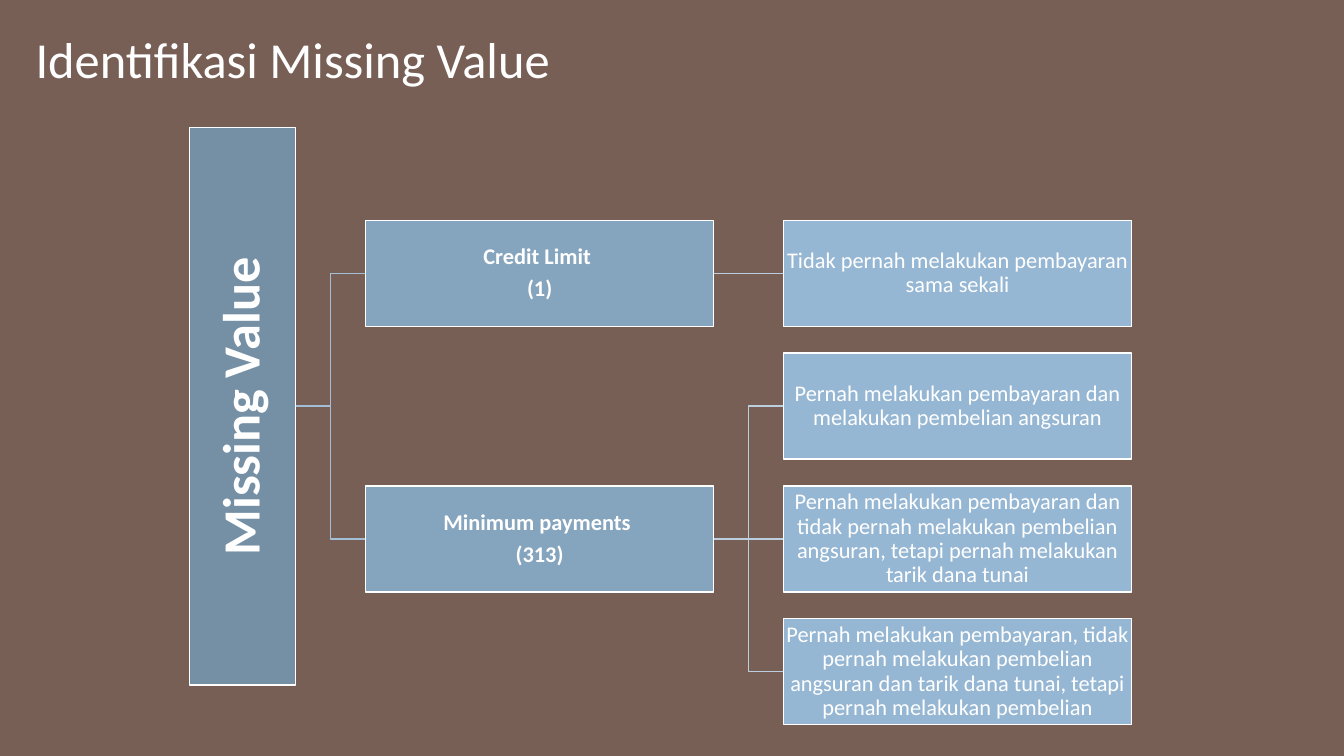
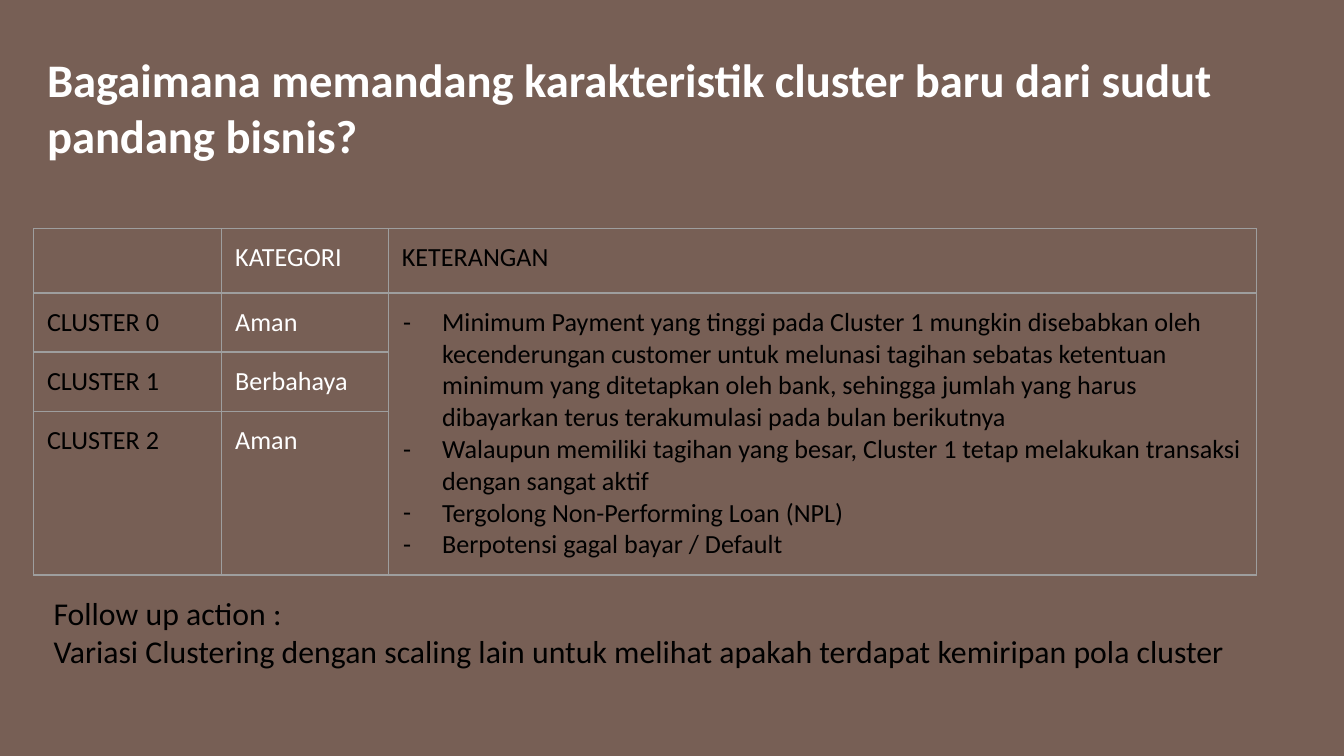
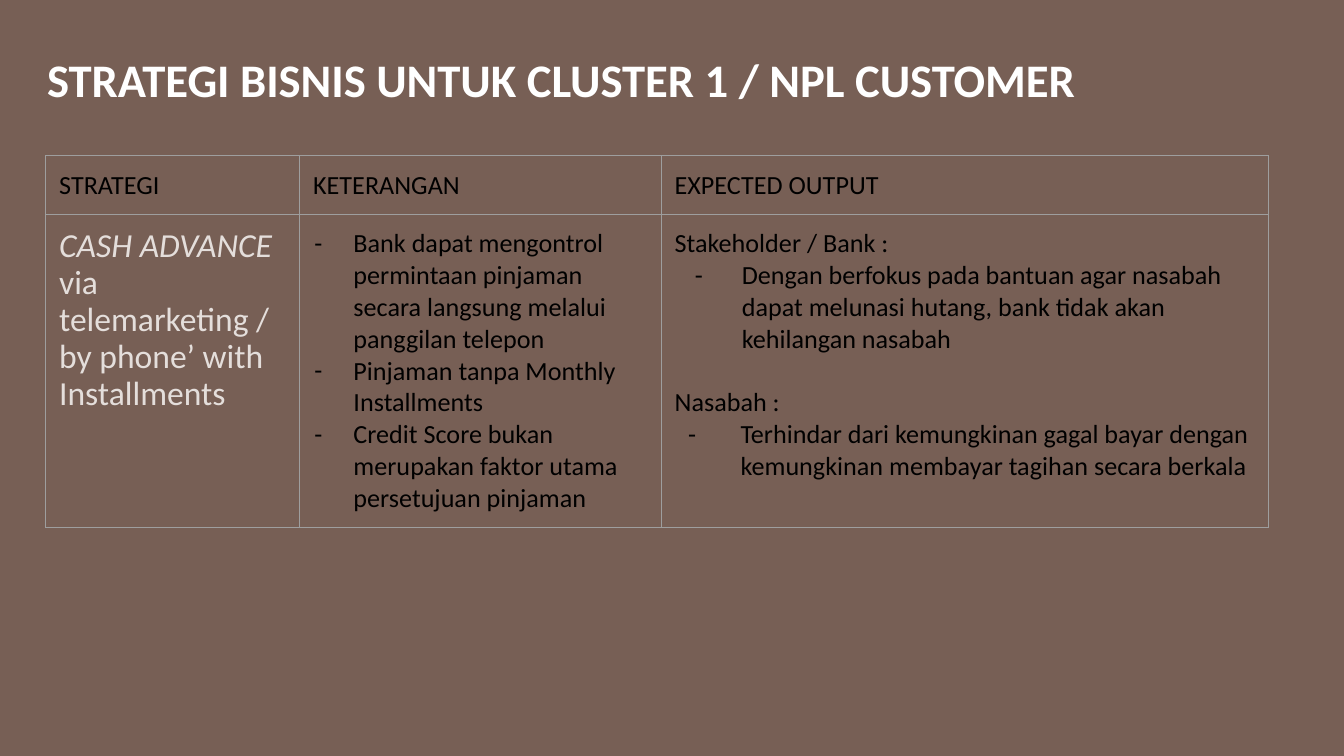
from dataclasses import dataclass, field

from lxml import etree
from pptx import Presentation
from pptx.dml.color import RGBColor
from pptx.enum.shapes import MSO_CONNECTOR, MSO_SHAPE
from pptx.enum.text import MSO_ANCHOR, MSO_AUTO_SIZE, PP_ALIGN
from pptx.oxml.ns import qn
from pptx.util import Inches, Pt

TOP, MID = MSO_ANCHOR.TOP, MSO_ANCHOR.MIDDLE
LEFT, CENTER = PP_ALIGN.LEFT, PP_ALIGN.CENTER
RECT = MSO_SHAPE.RECTANGLE
ELBOW, STRAIGHT = MSO_CONNECTOR.ELBOW, MSO_CONNECTOR.STRAIGHT

FONT = "Calibri"
COLORS = {
    "back": "775F55", "white": "FFFFFF", "black": "000000", "pale": "E4DEDB",
    "grid": "9E9E9E", "root": "7590A5", "group": "85A4BD", "leaf": "96B7D3",
    "trunk": "A3BFD7", "twig": "BCCFE1",
}
WIDE = Inches(10)
HIGH = WIDE * 9 // 16
PAD = 0.1
DASH = (0.3, -0.29)


@dataclass
class Run:
    text: str
    size: float = 14
    color: str = "black"
    look: dict = field(default_factory=dict)


@dataclass
class Line:
    runs: list[Run]
    form: dict = field(default_factory=dict)
    dash: tuple[float, float] | None = None


@dataclass
class Box:
    text: list[Line]
    row: float
    col: int


def rgb(name: str) -> RGBColor:
    return RGBColor.from_string(COLORS[name])


def put(item, values: dict) -> None:
    """Set each named attribute of item."""
    for name, value in values.items():
        setattr(item, name, value)


def plain(text: str, color: str = "black") -> list[Line]:
    return [Line([Run(text, color=color)])]


def dashed(*texts: str, dash: tuple[float, float] = DASH) -> list[Line]:
    return [Line([Run(text)], dash=dash) for text in texts]


def add_dash(para, left: float, hang: float) -> None:
    props = para._p.get_or_add_pPr()
    props.set("marL", str(Inches(left)))
    props.set("indent", str(Inches(hang)))
    tint = etree.SubElement(props, qn("a:buClr"))
    etree.SubElement(tint, qn("a:srgbClr"), val=COLORS["black"])
    etree.SubElement(props, qn("a:buFont"), typeface=FONT)
    etree.SubElement(props, qn("a:buChar"), char="-")


def write(frame, lines: list[Line], align=LEFT) -> None:
    for i, line in enumerate(lines):
        para = frame.paragraphs[0] if i == 0 else frame.add_paragraph()
        put(para, {"alignment": align, **line.form})
        if line.dash:
            add_dash(para, *line.dash)
        for part in line.runs:
            run = para.add_run()
            run.text = part.text
            put(run.font, {"name": FONT, "size": Pt(part.size), **part.look})
            run.font.color.rgb = rgb(part.color)


def set_frame(frame, anchor=TOP, pad: float = PAD) -> None:
    put(frame, {"word_wrap": True, "auto_size": MSO_AUTO_SIZE.NONE,
                "vertical_anchor": anchor})
    set_pad(frame, pad)


def set_pad(item, pad: float = PAD) -> None:
    put(item, {f"margin_{side}": Inches(pad)
               for side in ("left", "right", "top", "bottom")})


def place(shape, left: float, top: float, width: float, height: float) -> None:
    put(shape, {"left": Inches(left), "top": Inches(top),
                "width": Inches(width), "height": Inches(height)})


def add_slide(deck, title: str, area: tuple, size: float = 25,
              bold: bool = True, space: float = 1.0):
    slide = deck.slides.add_slide(deck.slide_layouts.get_by_name("Title Only"))
    head = slide.shapes.title
    place(head, *area)
    set_frame(head.text_frame)
    run = Run(title, size, "white", {"bold": bold})
    write(head.text_frame, [Line([run], {"line_spacing": space})])
    return slide


def add_table(slide, left: float, top: float, cols: list, rows: list,
              cells: dict, spans: tuple = ()) -> None:
    frame = slide.shapes.add_table(
        len(rows), len(cols), Inches(left), Inches(top),
        Inches(sum(cols)), Inches(sum(rows)))
    table = frame.table
    put(table, {"first_row": False, "horz_banding": False})
    for col, width in zip(table.columns, cols):
        col.width = Inches(width)
    for row, height in zip(table.rows, rows):
        row.height = Inches(height)
    for cell in table.iter_cells():
        set_pad(cell)
        add_edges(cell)
        cell.fill.background()
    for first, last in spans:
        table.cell(*first).merge(table.cell(*last))
    for spot, lines in cells.items():
        write(table.cell(*spot).text_frame, lines)
    for cell in table.iter_cells():
        if not cell.text:
            para = cell.text_frame.paragraphs[0]._p
            etree.SubElement(para, qn("a:endParaRPr"), sz="1400")


def add_edges(cell) -> None:
    props = cell._tc.get_or_add_tcPr()
    for side in ("lnL", "lnR", "lnT", "lnB"):
        edge = etree.SubElement(props, qn(f"a:{side}"), w=str(Pt(0.75)))
        fill = etree.SubElement(edge, qn("a:solidFill"))
        etree.SubElement(fill, qn("a:srgbClr"), val=COLORS["grid"])


# Tree of missing values
BOX_H = 0.79
STEP = BOX_H * 1.25
TREE_TOP = 1.64
BOX_W = 2.59
GAP = 0.52
ROOT_H = 4.15
ROOT_X = 1.41
COL_X = [ROOT_X + BOX_H + GAP + i * (BOX_W + GAP) for i in range(2)]
KINDS = ("group", "leaf")


def mid(row: float) -> float:
    return TREE_TOP + row * STEP + BOX_H / 2


def group(name: str, count: str, row: float) -> Box:
    bold = {"bold": True}
    return Box([Line([Run(name, 12, "white", bold)], {"line_spacing": 0.9}),
                Line([Run(count, 12, "white", bold)],
                     {"line_spacing": 0.9, "space_before": Pt(4.2)})], row, 0)


def leaf(text: str, row: float) -> Box:
    return Box([Line([Run(text, 12, "white")], {"line_spacing": 0.9})], row, 1)


def add_block(slide, area: tuple, fill: str, lines: list[Line], pad: float):
    block = slide.shapes.add_shape(RECT, *map(Inches, area))
    block.shadow.inherit = False
    block.fill.solid()
    block.fill.fore_color.rgb = rgb(fill)
    block.line.color.rgb = rgb("white")
    block.line.width = Pt(0.85)
    set_frame(block.text_frame, MID, pad)
    write(block.text_frame, lines, CENTER)
    return block


def add_link(slide, end: float, start_row: float, end_row: float,
             color: str) -> None:
    kind = STRAIGHT if start_row == end_row else ELBOW
    link = slide.shapes.add_connector(
        kind, Inches(end - GAP), Inches(mid(start_row)),
        Inches(end), Inches(mid(end_row)))
    link.line.color.rgb = rgb(color)
    link.line.width = Pt(0.85)
    etree.SubElement(link._element.spPr, qn("a:effectLst"))


def missing(deck) -> None:
    slide = add_slide(deck, " Identifikasi Missing Value",
                      (0.08, 0.16, 9.32, 0.7), 27, False, 0.9)
    boxes = [
        group("Credit Limit ", "(1)", 0),
        leaf("Tidak pernah melakukan pembayaran sama sekali", 0),
        group("Minimum payments ", "(313)", 2),
        leaf("Pernah melakukan pembayaran dan melakukan pembelian angsuran", 1),
        leaf("Pernah melakukan pembayaran dan tidak pernah melakukan pembelian "
             "angsuran, tetapi pernah melakukan tarik dana tunai", 2),
        leaf("Pernah melakukan pembayaran, tidak pernah melakukan pembelian "
             "angsuran dan tarik dana tunai, tetapi pernah melakukan "
             "pembelian", 3),
    ]
    for start, end in ((2, 3), (2, 2), (2, 1), (0, 0)):
        add_link(slide, COL_X[1], start, end, "twig")
    for end in (2, 0):
        add_link(slide, COL_X[0], 1, end, "trunk")
    name = Run("Missing Value", 28, "white", {"bold": True})
    area = (ROOT_X + (BOX_H - ROOT_H) / 2, mid(1) - BOX_H / 2, ROOT_H, BOX_H)
    root = add_block(slide, area, "root",
                     [Line([name], {"line_spacing": 0.9})], 0.02)
    root.rotation = 270
    for box in boxes:
        area = (COL_X[box.col], mid(box.row) - BOX_H / 2, BOX_W, BOX_H)
        add_block(slide, area, KINDS[box.col], box.text, 0.01)


def traits(deck) -> None:
    slide = add_slide(deck, "Bagaimana memandang karakteristik cluster baru "
                      "dari sudut pandang bisnis?", (0.25, 0.28, 8.92, 1.04))
    cells = {
        (0, 1): plain("KATEGORI", "white"),
        (0, 2): plain("KETERANGAN"),
        (1, 2): dashed(
            "Minimum Payment yang tinggi pada Cluster 1 mungkin disebabkan "
            "oleh kecenderungan customer untuk melunasi tagihan sebatas "
            "ketentuan minimum yang ditetapkan oleh bank, sehingga jumlah "
            "yang harus dibayarkan terus terakumulasi pada bulan berikutnya",
            "Walaupun memiliki tagihan yang besar, Cluster 1 tetap melakukan "
            "transaksi dengan sangat aktif",
            "Tergolong Non-Performing Loan (NPL)",
            "Berpotensi gagal bayar / Default"),
    }
    for i, level in enumerate(("Aman", "Berbahaya", "Aman")):
        cells[i + 1, 0] = plain(f"CLUSTER {i}")
        cells[i + 1, 1] = plain(level, "white")
    add_table(slide, 0.25, 1.7, [1.4, 1.24, 2.8, 3.66],
              [0.48, 0.44, 0.44, 1.22], cells,
              (((0, 2), (0, 3)), ((1, 2), (3, 3))))
    note = slide.shapes.add_textbox(
        *map(Inches, (0.3, 4.32, 8.92, 1.06)))
    set_frame(note.text_frame)
    write(note.text_frame, [Line([Run(text, 17)]) for text in (
        "Follow up action :",
        "Variasi Clustering dengan scaling lain untuk melihat apakah terdapat "
        "kemiripan pola cluster")])


def plan(deck) -> None:
    slide = add_slide(deck, "STRATEGI BISNIS UNTUK CLUSTER 1 / NPL CUSTOMER",
                      (0.25, 0.28, 8.92, 0.62))
    heads = ("STRATEGI", "KETERANGAN", "EXPECTED OUTPUT")
    cells = {(0, i): plain(text) for i, text in enumerate(heads)}
    cells[1, 0] = [Line([
        Run("CASH ADVANCE ", 18, "pale", {"italic": True}),
        Run("via telemarketing / by phone’ with Installments", 18, "pale"),
    ], {"line_spacing": 0.9})]
    cells[1, 1] = dashed(
        "Bank dapat mengontrol permintaan pinjaman secara langsung melalui "
        "panggilan telepon",
        "Pinjaman tanpa Monthly Installments",
        "Credit Score bukan merupakan faktor utama persetujuan pinjaman")
    cells[1, 2] = [
        *plain("Stakeholder / Bank :"),
        *dashed("Dengan berfokus pada bantuan agar nasabah dapat melunasi "
                "hutang, bank tidak akan kehilangan nasabah",
                dash=(0.5, -0.35)),
        Line([Run("Nasabah :")], {"space_before": Pt(17)}),
        *dashed("Terhindar dari kemungkinan gagal bayar dengan kemungkinan "
                "membayar tagihan secara berkala", dash=(0.49, -0.39)),
    ]
    add_table(slide, 0.34, 1.16, [1.89, 2.69, 4.52], [0.43, 2.3], cells)


def main() -> None:
    deck = Presentation()
    put(deck, {"slide_width": WIDE, "slide_height": HIGH})
    back = deck.slide_master.background.fill
    back.solid()
    back.fore_color.rgb = rgb("back")
    for build in (missing, traits, plan):
        build(deck)
    deck.save("out.pptx")


if __name__ == "__main__":
    main()
